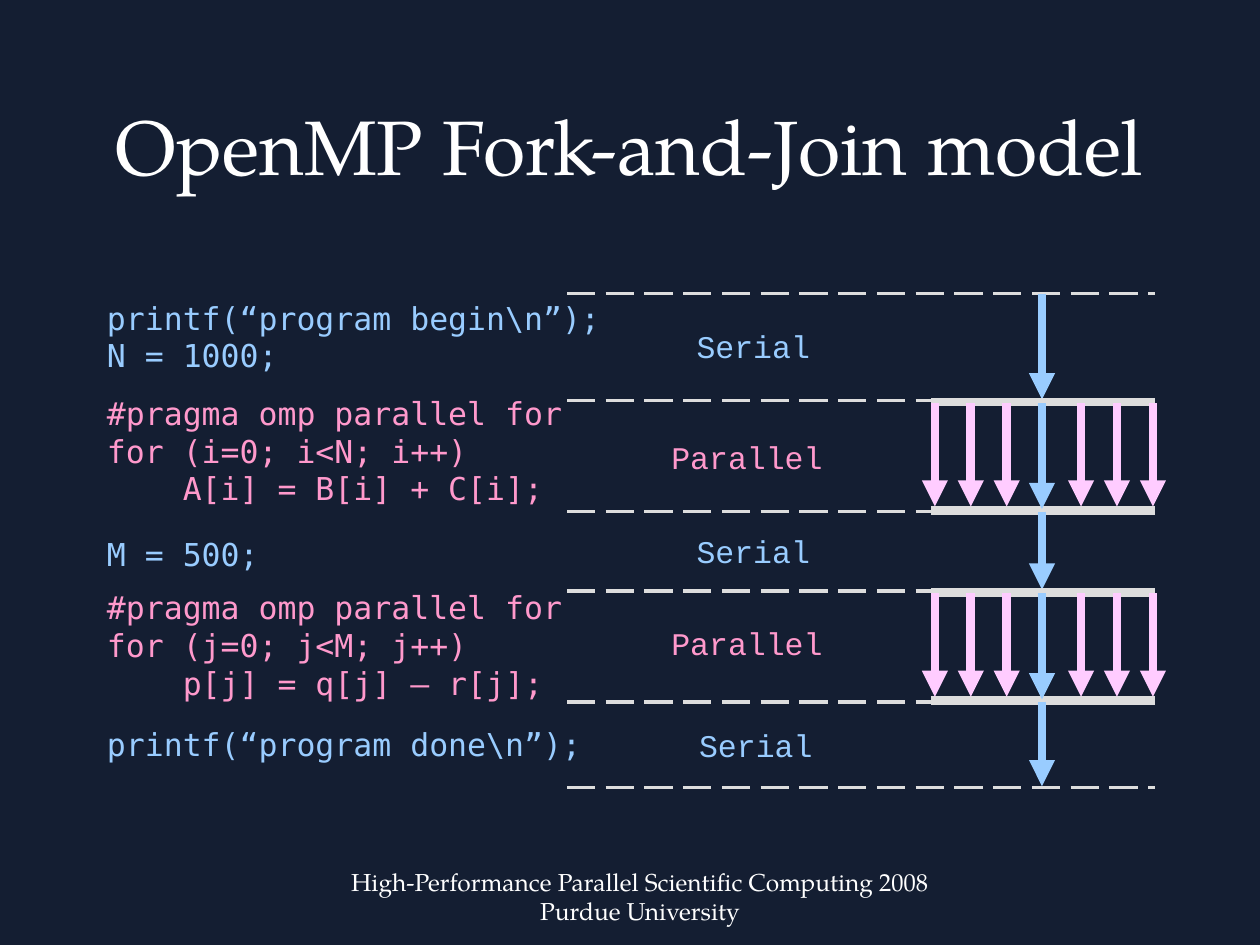
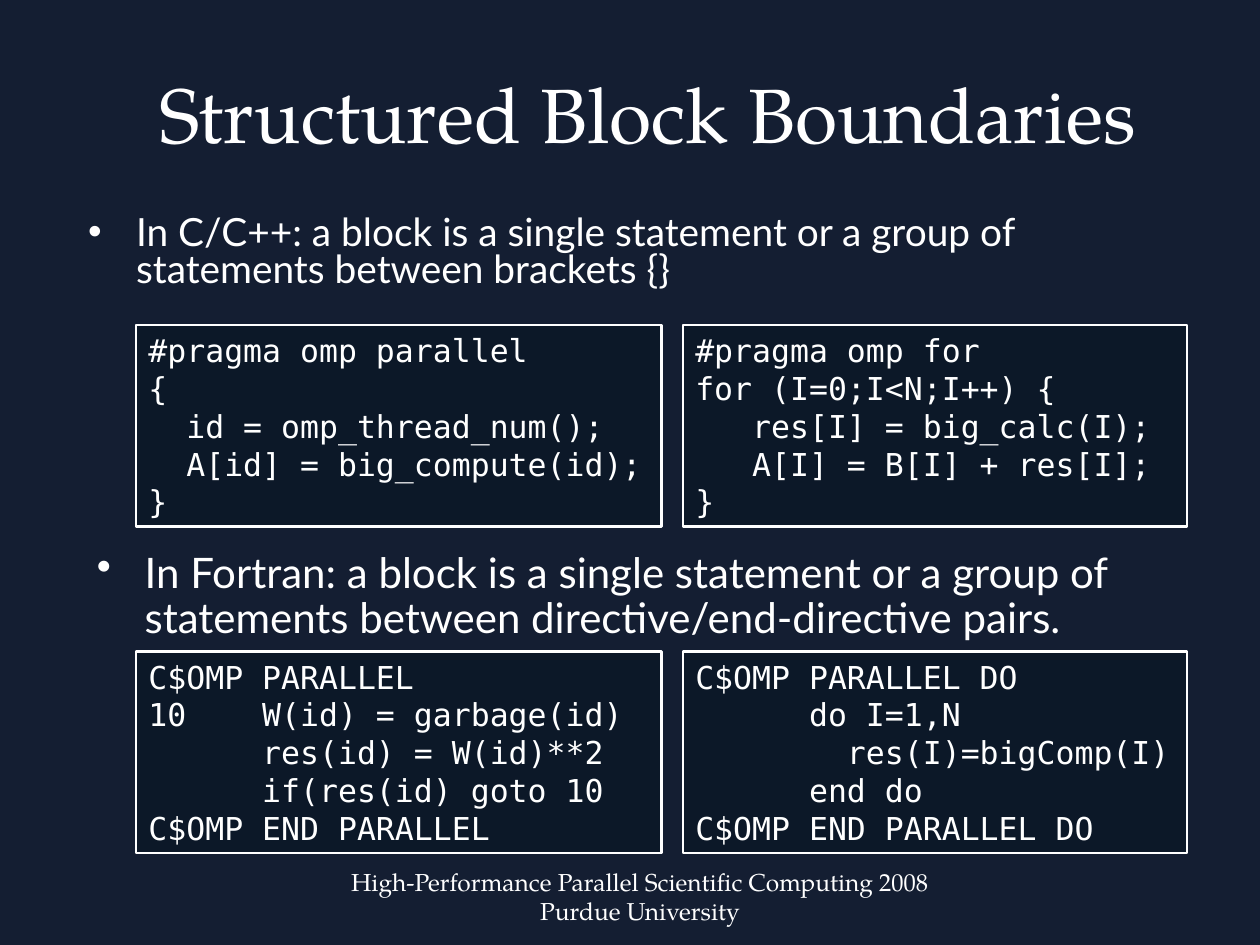
"""Build two slides on OpenMP: the fork-and-join model and structured blocks."""
from dataclasses import dataclass

import pptx
import pptx.dml.color
import pptx.enum.dml
import pptx.enum.shapes
import pptx.enum.text
import pptx.oxml.ns
import pptx.util
from lxml import etree

Inches = pptx.util.Inches
Pt = pptx.util.Pt
RGBColor = pptx.dml.color.RGBColor
ALIGN = pptx.enum.text.PP_ALIGN
ANCHOR = pptx.enum.text.MSO_ANCHOR
qn = pptx.oxml.ns.qn

NAVY = RGBColor(0x14, 0x1E, 0x32)
CODE_FILL = RGBColor(0x0C, 0x18, 0x28)
WHITE = RGBColor(0xFF, 0xFF, 0xFF)
GRAY = RGBColor(0xDD, 0xDD, 0xDD)
SERIAL_BLUE = RGBColor(0x99, 0xCC, 0xFF)
PARALLEL_PINK = RGBColor(0xFF, 0x99, 0xCC)
WORKER_PINK = RGBColor(0xFF, 0xCC, 0xFF)


@dataclass(frozen=True)
class Style:
    """Look of a paragraph."""
    font: str
    size: float
    color: RGBColor = WHITE
    align: ALIGN = ALIGN.LEFT


TITLE = Style("TeX Gyre Pagella", 44, align=ALIGN.CENTER)
FOOTER = Style("TeX Gyre Pagella", 14, align=ALIGN.CENTER)
CODE = Style("DejaVu Sans Mono", 18)
SERIAL_CODE = Style("DejaVu Sans Mono", 18, SERIAL_BLUE)
PARALLEL_CODE = Style("DejaVu Sans Mono", 18, PARALLEL_PINK)

FOOTER_LINES = ["High-Performance Parallel Scientific Computing 2008", "Purdue University"]

PROGRAM = [
    (SERIAL_CODE, 0, 11.2, ["printf(“program begin\\n”);", "N = 1000;"]),
    (PARALLEL_CODE, 0, 0, ["#pragma omp parallel for", "for (i=0; i<N; i++)",
                           "    A[i] = B[i] + C[i];"]),
    (SERIAL_CODE, 15.8, 9, ["M = 500;"]),
    (PARALLEL_CODE, 0, 0, ["#pragma omp parallel for", "for (j=0; j<M; j++)",
                           "    p[j] = q[j] – r[j];"]),
    (SERIAL_CODE, 13.5, 0, ["printf(“program done\\n”);"]),
]

STAGE_LEVELS = [2.33, 3.18, 4.06, 4.69, 5.57, 6.25]
STAGE_LABELS = [("Serial", 5.43, 2.55), ("Parallel", 5.23, 3.43), ("Serial", 5.43, 4.17),
                ("Parallel", 5.23, 4.9), ("Serial", 5.45, 5.71)]
DIAGRAM_LEFT, BAR_LEFT, DIAGRAM_RIGHT = 4.5, 7.39, 9.17
MASTER_X = 8.27
WORKER_XS = [start + 0.285 * i for start in (7.42, 8.58) for i in range(3)]

CODE_COLUMNS = [(1.08, 4.17), (5.42, 4)]
CODE_ROWS = [
    (2.58, [
        ["#pragma omp parallel", "{", "  id = omp_thread_num();",
         "  A[id] = big_compute(id);", "}"],
        ["#pragma omp for", "for (I=0;I<N;I++) {", "   res[I] = big_calc(I);",
         "   A[I] = B[I] + res[I];", "}"],
    ]),
    (5.17, [
        ["C$OMP PARALLEL", "10    W(id) = garbage(id)", "      res(id) = W(id)**2",
         "      if(res(id) goto 10", "C$OMP END PARALLEL"],
        ["C$OMP PARALLEL DO", "      do I=1,N", "        res(I)=bigComp(I)",
         "      end do", "C$OMP END PARALLEL DO"],
    ]),
]


def place(shape, left, top, width, height):
    """Move and size a shape, in inches."""
    shape.left, shape.top = Inches(left), Inches(top)
    shape.width, shape.height = Inches(width), Inches(height)


def style_paragraph(paragraph, style):
    """Apply a style to a whole paragraph."""
    paragraph.alignment = style.align
    paragraph.font.name = style.font
    paragraph.font.size = Pt(style.size)
    paragraph.font.color.rgb = style.color


def write_lines(frame, lines, style):
    """Add one paragraph per line and return the new paragraphs."""
    written = []
    for line in lines:
        paragraph = frame.add_paragraph() if frame.text else frame.paragraphs[0]
        paragraph.text = line
        style_paragraph(paragraph, style)
        written.append(paragraph)
    return written


def write_bullet(frame, text, style, line_spacing):
    """Write one bulleted paragraph with a hanging indent."""
    frame.word_wrap = True
    frame.auto_size = pptx.enum.text.MSO_AUTO_SIZE.NONE
    paragraph = frame.paragraphs[0]
    paragraph.text = text
    paragraph.line_spacing = line_spacing
    paragraph.space_before = Pt(0)
    properties = paragraph._p.get_or_add_pPr()
    properties.set("marL", str(Inches(0.38)))
    properties.set("indent", str(-Inches(0.38)))
    bullet_color = etree.SubElement(properties, qn("a:buClr"))
    etree.SubElement(bullet_color, qn("a:srgbClr")).set("val", str(style.color))
    etree.SubElement(properties, qn("a:buChar")).set("char", "•")
    style_paragraph(paragraph, style)


def add_text_box(slide, left, top, width, height, wrap=True):
    """Add an empty text box and return its text frame."""
    box = slide.shapes.add_textbox(Inches(left), Inches(top), Inches(width), Inches(height))
    box.text_frame.word_wrap = wrap
    return box.text_frame


def add_slide(prs, layout_index, title, title_area):
    """Add a slide with its title and the shared footer."""
    slide = prs.slides.add_slide(prs.slide_layouts[layout_index])
    heading = slide.shapes.title
    place(heading, *title_area)
    heading.text_frame.vertical_anchor = ANCHOR.MIDDLE
    write_lines(heading.text_frame, [title], TITLE)
    write_lines(add_text_box(slide, 2.58, 6.83, 5, 0.52), FOOTER_LINES, FOOTER)
    return slide


def add_line(slide, start, end, color, width=5, dash=None, arrow=False):
    """Draw a straight line, dashed or with an arrowhead if asked."""
    connector = slide.shapes.add_connector(
        pptx.enum.shapes.MSO_CONNECTOR.STRAIGHT, *map(Inches, start + end))
    connector.line.color.rgb = color
    connector.line.width = Pt(width)
    if dash:
        connector.line.dash_style = dash
    if arrow:
        outline = connector.line._get_or_add_ln()
        etree.SubElement(outline, qn("a:tailEnd")).set("type", "triangle")
    etree.SubElement(connector._element.spPr, qn("a:effectLst"))


def add_down_arrow(slide, x, top, bottom, color):
    """Draw one thread of execution."""
    add_line(slide, (x, top), (x, bottom), color, arrow=True)


def add_parallel_threads(slide, top, bottom):
    """Draw the fork and join bars and the team of threads between them."""
    for bar_y in (top + 0.01, bottom - 0.01):
        add_line(slide, (BAR_LEFT, bar_y), (DIAGRAM_RIGHT, bar_y), GRAY)
    for worker_x in WORKER_XS:
        add_down_arrow(slide, worker_x, top + 0.02, bottom - 0.04, WORKER_PINK)
    add_down_arrow(slide, MASTER_X, top + 0.02, bottom - 0.02, SERIAL_BLUE)


def add_code_box(slide, left, top, width, lines):
    """Add a framed code sample."""
    box = slide.shapes.add_shape(pptx.enum.shapes.MSO_SHAPE.RECTANGLE, Inches(left),
                                 Inches(top), Inches(width), Inches(1.6))
    box.shadow.inherit = False
    box.fill.solid()
    box.fill.fore_color.rgb = CODE_FILL
    box.line.color.rgb = WHITE
    box.line.width = Pt(1.5)
    box.text_frame.word_wrap = True
    box.text_frame.vertical_anchor = ANCHOR.TOP
    write_lines(box.text_frame, lines, CODE)


def build_fork_join(prs):
    """Show a program beside its serial and parallel stages."""
    slide = add_slide(prs, 5, "OpenMP Fork-and-Join model", (0.5, 0.3, 9, 1.7))
    program = add_text_box(slide, 0.75, 2.32, 4.11, 4.09, wrap=False)
    for style, before, after, lines in PROGRAM:
        block = write_lines(program, lines, style)
        if before:
            block[0].space_before = Pt(before)
        if after:
            block[-1].space_after = Pt(after)

    for level in STAGE_LEVELS:
        add_line(slide, (DIAGRAM_LEFT, level), (DIAGRAM_RIGHT, level), GRAY, 2,
                 pptx.enum.dml.MSO_LINE.LONG_DASH)
    for (name, left, label_top), top, bottom in zip(
            STAGE_LABELS, STAGE_LEVELS, STAGE_LEVELS[1:]):
        if name == "Parallel":
            width, color = 1.4, PARALLEL_PINK
            add_parallel_threads(slide, top, bottom)
        else:
            width, color = 1.1, SERIAL_BLUE
            add_down_arrow(slide, MASTER_X, top, bottom - 0.01, SERIAL_BLUE)
        label = add_text_box(slide, left, label_top, width, 0.4, wrap=False)
        write_lines(label, [name], Style("Courier New", 18, color))


def build_block_boundaries(prs):
    """Show what bounds a block in C/C++ and in Fortran."""
    slide = add_slide(prs, 1, "Structured Block Boundaries", (0.5, 0.27, 9.29, 1.25))
    c_rule = slide.placeholders[1]
    place(c_rule, 0.6, 1.67, 8.73, 0.92)
    write_bullet(c_rule.text_frame,
                 "In C/C++: a block is a single statement or a group of "
                 "statements between brackets {}", Style("Lato", 22.2), 0.8)
    write_bullet(add_text_box(slide, 0.67, 4.33, 8.75, 0.77),
                 "In Fortran: a block is a single statement or a group of "
                 "statements between directive/end-directive pairs.", Style("Lato", 24), 0.9)
    for top, samples in CODE_ROWS:
        for (left, width), lines in zip(CODE_COLUMNS, samples):
            add_code_box(slide, left, top, width, lines)


def main():
    """Build and save the presentation."""
    prs = pptx.Presentation()
    prs.slide_width, prs.slide_height = Inches(10), Inches(7.5)
    backdrop = prs.slide_master.background.fill
    backdrop.solid()
    backdrop.fore_color.rgb = NAVY
    build_fork_join(prs)
    build_block_boundaries(prs)
    prs.save("out.pptx")


if __name__ == "__main__":
    main()
